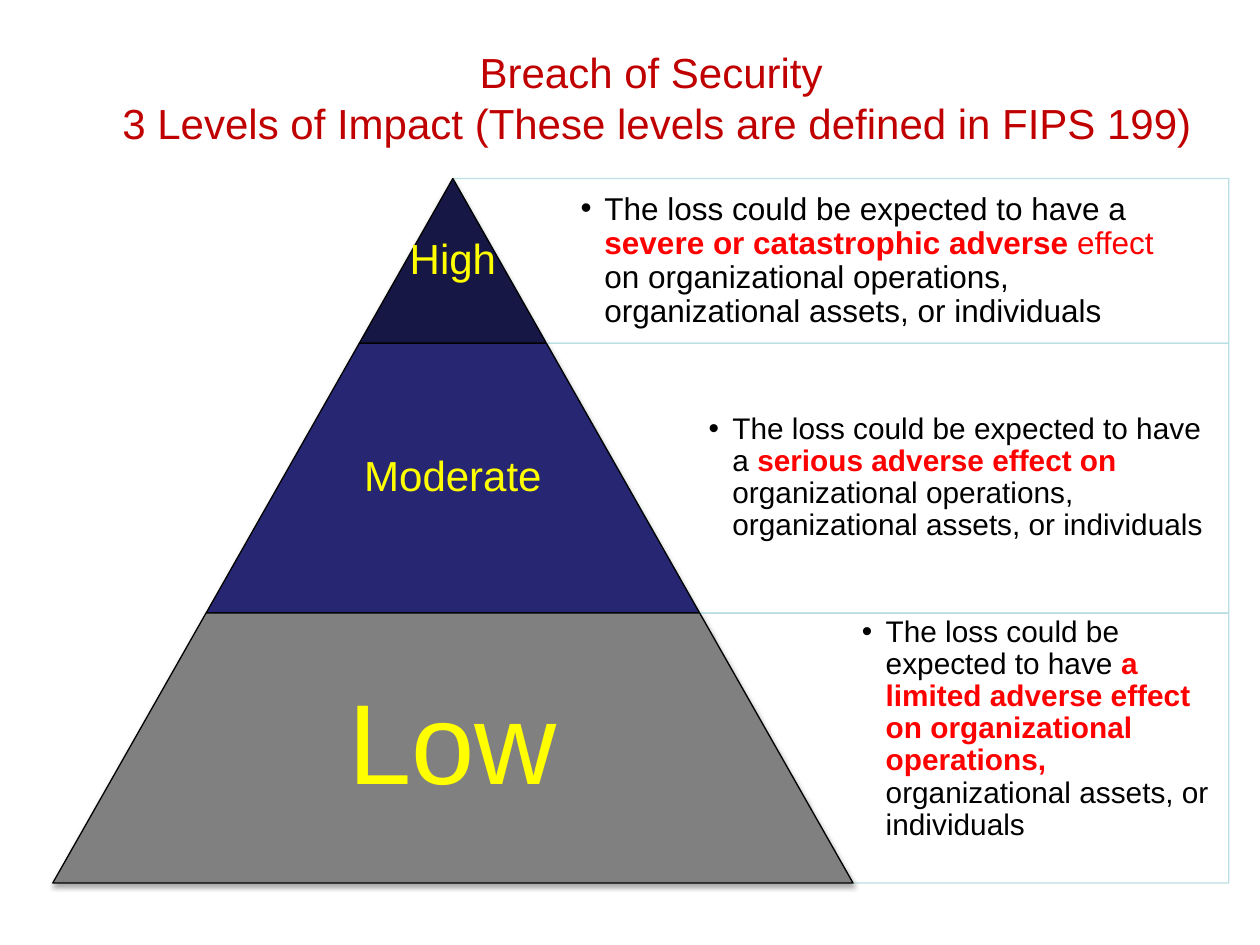
from lxml.etree import SubElement
from pptx import Presentation
from pptx.dml.color import RGBColor
from pptx.enum.shapes import MSO_SHAPE as Preset
from pptx.enum.text import MSO_ANCHOR as Anchor, PP_ALIGN as Align
from pptx.oxml.ns import qn
from pptx.util import Cm, Pt

COLORS = {
    "title": "C00000", "text": "000000", "stress": "FF0000", "label": "FFFF00",
    "panel": "FFFFFF", "rule": "BBE0E3", "edge": "000000",
    "High": "171745", "Moderate": "262673", "Low": "808080",
}
SLOPE = 0.568
APEX, SUMMIT, RIGHT = 9.13, 3.6, 24.77
LOSS = "The loss could be expected to have "
ASSETS = "organizational operations, organizational assets, or individuals"
TIERS = [
    {"name": "High", "height": 3.32, "label_size": 24, "label_share": 1,
     "size": 18, "insets": (0.69, 0.69, 0.69, 0.69),
     "runs": [(LOSS + "a ", "text", False),
              ("severe or catastrophic adverse ", "stress", True),
              ("effect ", "stress", False),
              ("on " + ASSETS, "text", False)]},
    {"name": "Moderate", "height": 5.44, "label_size": 24, "label_share": 0.65,
     "size": 17, "insets": (0.18, 0.18, 0.18, 0.18),
     "runs": [(LOSS + "a ", "text", False),
              ("serious adverse effect on ", "stress", True),
              (ASSETS, "text", False)]},
    {"name": "Low", "height": 5.44, "label_size": 65, "label_share": 0.65,
     "size": 17, "insets": (0.18, 0, 0.18, 0.76),
     "runs": [(LOSS, "text", False),
              ("a limited adverse effect on organizational operations, ", "stress", True),
              ("organizational assets, or individuals", "text", False)]},
]


def rgb(name):
    return RGBColor.from_string(COLORS[name])


def apply(target, values):
    for name, value in values.items():
        setattr(target, name, value)


def add_text(slide, box, runs, size, insets, paragraph_format):
    left, top, width, height = map(Cm, box)
    frame = slide.shapes.add_textbox(left, top, width, height).text_frame
    sides = ("margin_left", "margin_top", "margin_right", "margin_bottom")
    apply(frame, {"word_wrap": True, "vertical_anchor": Anchor.MIDDLE,
                  **dict(zip(sides, map(Cm, insets)))})
    paragraph = frame.paragraphs[0]
    apply(paragraph, paragraph_format)
    for text, color, bold in runs:
        run = paragraph.add_run()
        run.text = text
        apply(run.font, {"name": "Arial", "size": Pt(size), "bold": bold})
        run.font.color.rgb = rgb(color)
    return paragraph


def add_bullet(paragraph):
    properties = paragraph._p.get_or_add_pPr()
    properties.set("marL", str(Cm(0.48)))
    properties.set("indent", str(Cm(-0.48)))
    SubElement(properties, qn("a:buFont"), typeface="Arial")
    SubElement(properties, qn("a:buChar"), char="•")


def add_outline(slide, preset, box, fill, line):
    left, top, width, height = map(Cm, box)
    shape = slide.shapes.add_shape(preset, left, top, width, height)
    shape.shadow.inherit = False
    shape.fill.solid()
    shape.fill.fore_color.rgb = rgb(fill)
    shape.line.color.rgb = rgb(line)
    shape.line.width = Pt(0.75)
    return shape


def add_panel(slide, left, top, height):
    panel = add_outline(slide, Preset.NON_ISOSCELES_TRAPEZOID,
                        (left, top, RIGHT - left, height), "panel", "rule")
    panel.rotation = 180
    panel.adjustments[0], panel.adjustments[1] = 0, SLOPE
    tint = panel._element.spPr.find(qn("a:solidFill")).find(qn("a:srgbClr"))
    SubElement(tint, qn("a:alpha"), val="90000")


def add_layer(slide, name, box):
    layer = add_outline(slide, Preset.TRAPEZOID, box, name, "edge")
    layer.adjustments[0] = SLOPE
    effects = layer._element.spPr.find(qn("a:effectLst"))
    shadow = SubElement(effects, qn("a:outerShdw"), blurRad=str(Pt(3.1)),
                        dist=str(Pt(1.8)), dir="5400000", rotWithShape="0")
    tint = SubElement(shadow, qn("a:srgbClr"), val=COLORS["edge"])
    SubElement(tint, qn("a:alpha"), val="35000")


def add_tier(slide, tier, top):
    height = tier["height"]
    upper = (top - SUMMIT) * SLOPE
    lower = upper + height * SLOPE
    add_panel(slide, APEX + upper, top, height)
    corner = APEX + lower
    explanation = add_text(slide, (corner, top, RIGHT - corner, height), tier["runs"],
                           tier["size"], tier["insets"], {"line_spacing": 0.9})
    add_bullet(explanation)
    add_layer(slide, tier["name"], (APEX - lower, top, 2 * lower, height))
    reach = lower * tier["label_share"]
    add_text(slide, (APEX - reach, top, 2 * reach, height),
             [(tier["name"], "label", False)], tier["label_size"], (0.08,) * 4,
             {"alignment": Align.CENTER, "line_spacing": 0.9})


def main():
    """Build the slide on the three impact levels of a security breach."""
    deck = Presentation()
    apply(deck, {"slide_width": Cm(25.4), "slide_height": Cm(19.05)})
    slide = deck.slides.add_slide(deck.slide_layouts[6])
    heading = "Breach of Security \v3 Levels of Impact (These levels are defined in FIPS 199)"
    first, second = heading.split("\v")
    title = add_text(slide, (2.16, 0.18, 22.17, 3.56), [(first, "title", False)],
                     24, (0.25, 0.13, 0.25, 0.13), {"alignment": Align.CENTER})
    title.add_line_break()
    subtitle = title.add_run()
    subtitle.text = second
    apply(subtitle.font, {"name": "Arial", "size": Pt(24), "bold": False})
    subtitle.font.color.rgb = rgb("title")
    top = SUMMIT
    for tier in TIERS:
        add_tier(slide, tier, top)
        top += tier["height"]
    deck.save("out.pptx")


if __name__ == "__main__":
    main()
